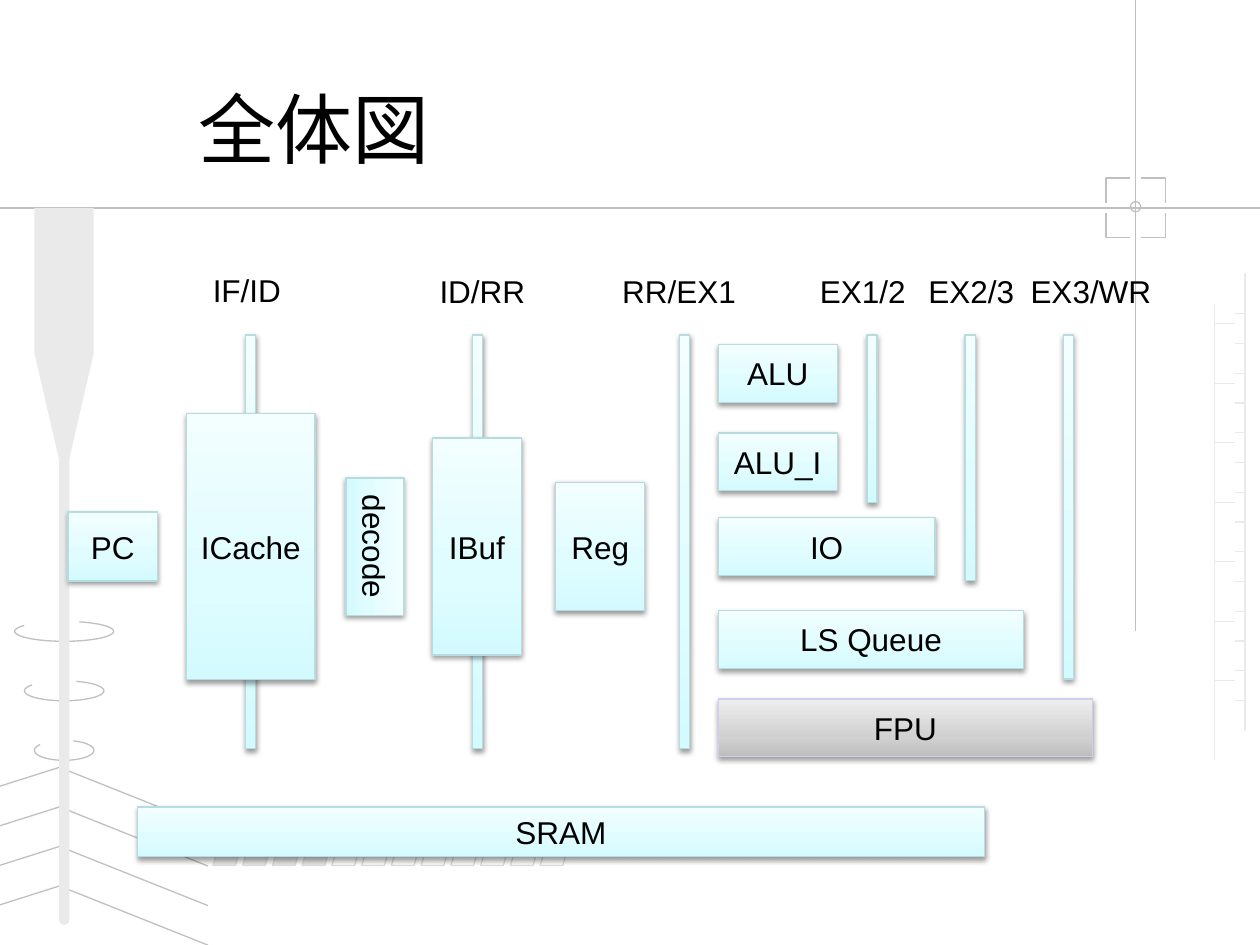
from dataclasses import dataclass
from math import cos, radians, sin

from pptx import Presentation
from pptx.dml.color import RGBColor
from pptx.enum.shapes import MSO_CONNECTOR, MSO_SHAPE
from pptx.enum.text import MSO_ANCHOR, PP_ALIGN
from pptx.oxml import parse_xml
from pptx.oxml.ns import nsdecls
from pptx.util import Pt

STRAIGHT = MSO_CONNECTOR.STRAIGHT
RECT, OVAL = MSO_SHAPE.RECTANGLE, MSO_SHAPE.OVAL
ROUNDED, TRIANGLE = MSO_SHAPE.ROUNDED_RECTANGLE, MSO_SHAPE.ISOSCELES_TRIANGLE
PARALLELOGRAM = MSO_SHAPE.PARALLELOGRAM
MIDDLE, CENTER = MSO_ANCHOR.MIDDLE, PP_ALIGN.CENTER


@dataclass(frozen=True)
class Theme:
    font: str = "Arial"
    title_size: int = 44
    body_size: int = 18
    text: str = "000000"
    paper: str = "FFFFFF"
    pale: str = "EAEAEA"
    edge: str = "DDDDDD"
    rule: str = "C0C0C0"
    aqua: tuple = ("D3FBFF", "DFFCFF", "F2FEFF", "B6DCDF")
    grey: tuple = ("BDBDBD", "D1D1D1", "EEEEEE", "CECEEF")
    line_width: float = 0.75


THEME = Theme()

prs = Presentation()
prs.slide_width, prs.slide_height = Pt(720), Pt(540)
slide = prs.slides.add_slide(prs.slide_layouts[6])
shapes = slide.shapes


def write(shape, text, size=THEME.body_size, align=None):
    frame = shape.text_frame
    frame.vertical_anchor = MIDDLE
    paragraph = frame.paragraphs[0]
    paragraph.text = text
    paragraph.alignment = align
    paragraph.font.name = THEME.font
    paragraph.font.size = Pt(size)
    paragraph.font.color.rgb = RGBColor.from_string(THEME.text)


def draw_block(left, top, width, height, text="", colors=THEME.aqua, rotation=0):
    """Rectangle with an upward gradient and a soft shadow below."""
    dark, middle, light, outline = colors
    block = shapes.add_shape(RECT, Pt(left), Pt(top), Pt(width), Pt(height))
    block.rotation = rotation
    stops = "".join(
        f'<a:gs pos="{position}"><a:srgbClr val="{color}"/></a:gs>'
        for position, color in ((0, dark), (35000, middle), (100000, light)))
    properties = block.element.spPr
    properties.append(parse_xml(
        f'<a:gradFill {nsdecls("a")} rotWithShape="1"><a:gsLst>{stops}</a:gsLst>'
        '<a:lin ang="16200000" scaled="0"/></a:gradFill>'))
    block.line.color.rgb = RGBColor.from_string(outline)
    block.line.width = Pt(THEME.line_width)
    properties.append(parse_xml(
        f'<a:effectLst {nsdecls("a")}><a:outerShdw blurRad="{Pt(3.1)}" '
        f'dist="{Pt(1.6)}" dir="5400000" rotWithShape="0"><a:srgbClr val="000000">'
        '<a:alpha val="38000"/></a:srgbClr></a:outerShdw></a:effectLst>'))
    if text:
        write(block, text, align=CENTER)


# Backdrop outlines: corner brackets, chevrons and rings
cross_x, cross_y = 649, 118.8
stem_x = 36.7
outlines = []
for sx, sy in ((-1, -1), (1, -1), (-1, 1), (1, 1)):
    outlines.append([(cross_x + sx * dx, cross_y + sy * dy)
                     for dx, dy in ((3, 17), (17, 17), (17, 3))])
for i in range(4):
    peak = 438.5 + 22.6 * i
    outlines.append([(0, peak + 10.8), (34, peak), (118.8, peak + 33.8)])
for ring_y, radius in ((360.8, 28.3), (394.8, 22.7), (428.8, 17)):
    outlines.append([(stem_x + radius * cos(radians(a)), ring_y + 5.7 * sin(radians(a)))
                     for a in range(-72, 217, 8)])

for start, *rest in outlines:
    builder = shapes.build_freeform(Pt(start[0]), Pt(start[1]))
    builder.add_line_segments([(Pt(x), Pt(y)) for x, y in rest], close=False)
    outline = builder.convert_to_shape()
    outline.fill.background()
    outline.line.color.rgb = RGBColor.from_string(THEME.rule)
    outline.line.width = Pt(THEME.line_width)
    outline.shadow.inherit = False

# Backdrop lines: crosshair and ruler
rules = [(0, cross_y, 720, cross_y, THEME.rule),
         (cross_x, 360.7, cross_x, 0, THEME.rule),
         (711.4, 156.2, 711.4, 417.6, THEME.pale),
         (694.1, 173.5, 694.1, 434.2, THEME.pale)]
rules += [(705.6, 179.3 + 17 * i, 711.4, 179.3 + 17 * i, THEME.pale) for i in range(14)]
rules += [(694.1, 185 + 34 * i, 705.6, 185 + 34 * i, THEME.pale) for i in range(7)]
for x1, y1, x2, y2, color in rules:
    rule = shapes.add_connector(STRAIGHT, Pt(x1), Pt(y1), Pt(x2), Pt(y2))
    rule.line.color.rgb = RGBColor.from_string(color)
    rule.line.width = Pt(THEME.line_width)
    rule.element.spPr.append(parse_xml(f'<a:effectLst {nsdecls("a")}/>'))

# Backdrop solids: antenna, crosshair centre and slanted strip
solids = [(RECT, 19.6, 118.8, 34, 84, None, 0, THEME.pale, None),
          (OVAL, 646, 115.2, 5.8, 5.8, None, 0, None, THEME.rule),
          (ROUNDED, 33.8, 252.7, 5.8, 275.8, 0.5, 0, THEME.pale, None),
          (TRIANGLE, 19.6, 201.6, 34, 73.4, 0.5, 180, THEME.pale, None)]
solids += [(PARALLELOGRAM, 121.7 + 17 * i, 479.5, 17.3, 15.1, 0.29, 0,
            THEME.pale if i < 4 else THEME.paper, THEME.edge) for i in range(12)]
for kind, left, top, width, height, adjustment, rotation, fill, edge in solids:
    solid = shapes.add_shape(kind, Pt(left), Pt(top), Pt(width), Pt(height))
    solid.rotation = rotation
    solid.shadow.inherit = False
    if adjustment is not None:
        solid.adjustments[0] = adjustment
    if fill:
        solid.fill.solid()
        solid.fill.fore_color.rgb = RGBColor.from_string(fill)
    else:
        solid.fill.background()
    if edge:
        solid.line.color.rgb = RGBColor.from_string(edge)
        solid.line.width = Pt(THEME.line_width)
    else:
        solid.line.fill.background()

title = shapes.add_textbox(Pt(106.6), Pt(33.8), Pt(542.2), Pt(78.5))
title.text_frame.word_wrap = True
write(title, "全体図", THEME.title_size)

# Pipeline registers: label, label left, label top, label width, bar left, bar height
stages = [("IF/ID", 114.5, 151.2, 54, 140.4, 236.2),
          ("ID/RR", 244.1, 152, 64, 270, 236.2),
          ("RR/EX1", 348.5, 152, 80, 388.1, 236.2),
          ("EX1/2", 461.5, 152, 64, 495.4, 95.8),
          ("EX2/3", 523.4, 152, 64, 551.5, 140.4),
          ("EX3/WR", 581.8, 152, 84.2, 607.7, 196.6)]
for label, label_left, label_top, label_width, bar_left, bar_height in stages:
    draw_block(bar_left, 191.5, 5.8, bar_height)
    caption = shapes.add_textbox(Pt(label_left), Pt(label_top), Pt(label_width), Pt(28.8))
    caption.text_frame.word_wrap = False
    write(caption, label)

# Units along the pipeline, all centred on one axis
axis_y = 312.3
for unit, left, width, height, rotation in (
        ("PC", 38.9, 51, 39.6, 0), ("ICache", 106.6, 73.4, 152, 0),
        ("decode", 175, 78.5, 33.1, 90), ("IBuf", 247, 51, 124, 0),
        ("Reg", 317.5, 51, 73.4, 0)):
    draw_block(left, axis_y - height / 2, width, height, unit, rotation=rotation)

# Execution units, sharing a left edge
for unit, top, width, colors in (
        ("ALU", 196.8, 68, THEME.aqua), ("ALU_I", 247.4, 68, THEME.aqua),
        ("IO", 295.7, 124, THEME.aqua), ("LS Queue", 348.8, 174.6, THEME.aqua),
        ("FPU", 399.4, 214, THEME.grey)):
    draw_block(410.4, top, width, 33.1, unit, colors)

draw_block(78.5, 461.2, 484, 28.3, "SRAM")

prs.save("out.pptx")
